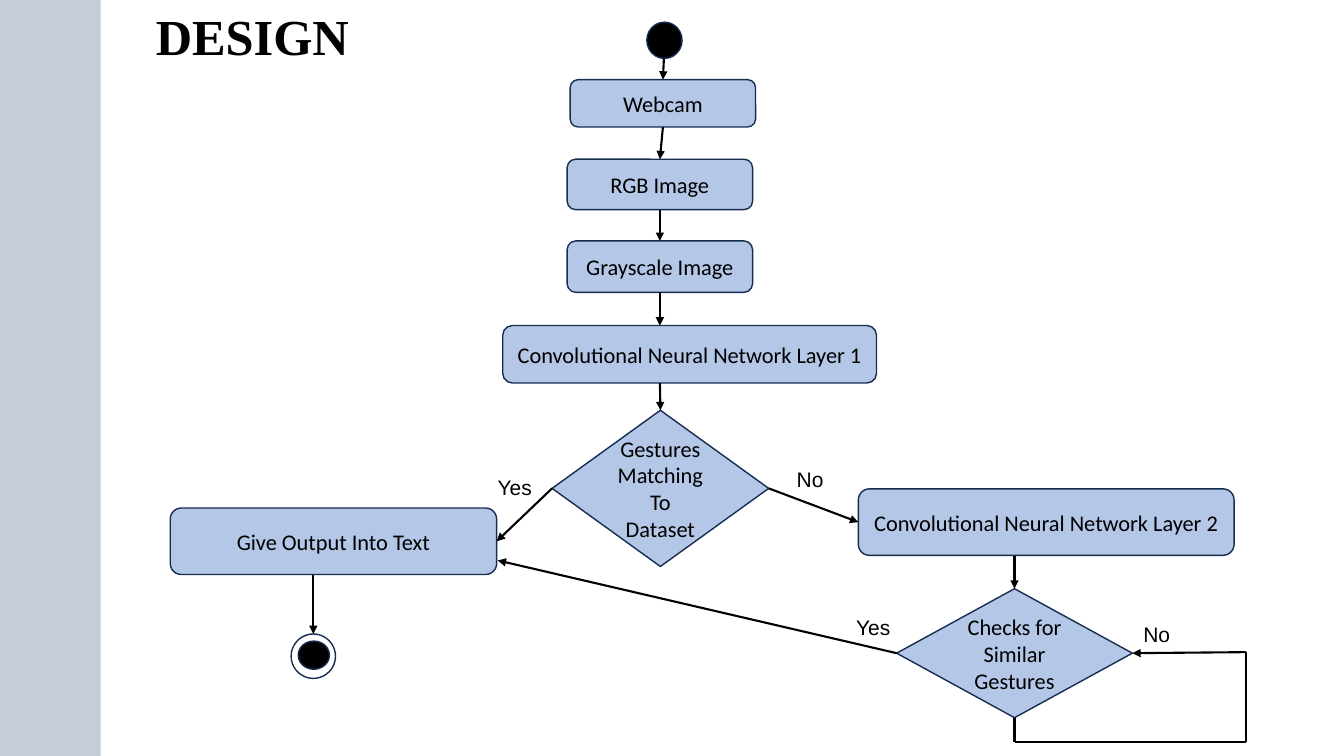
import pptx
import pptx.util
import pptx.dml.color
import pptx.enum.shapes
import pptx.enum.text
import pptx.oxml
import pptx.oxml.ns

Inches, Pt = pptx.util.Inches, pptx.util.Pt
RGB = pptx.dml.color.RGBColor
KIND = pptx.enum.shapes.MSO_SHAPE
ALIGN = pptx.enum.text.PP_ALIGN
ANCHOR = pptx.enum.text.MSO_ANCHOR
qn = pptx.oxml.ns.qn

BLACK = RGB(0x00, 0x00, 0x00)
NAVY = RGB(0x20, 0x38, 0x64)
EDGE = RGB(0x17, 0x2C, 0x51)
BLUE = RGB(0xB4, 0xC7, 0xE7)
TOP, LEFT, BOTTOM, RIGHT = range(4)

deck = pptx.Presentation()
deck.slide_width, deck.slide_height = Inches(13.34), Inches(7.5)
slide = deck.slides.add_slide(deck.slide_layouts[6])
shapes = slide.shapes


def write(shape, text, font="Calibri", size=16, bold=False,
          align=ALIGN.CENTER, anchor=ANCHOR.MIDDLE):
    frame = shape.text_frame
    frame.word_wrap = True
    frame.vertical_anchor = anchor
    frame.text = text
    for para in frame.paragraphs:
        para.alignment = align
        para.font.name = font
        para.font.size = Pt(size)
        para.font.bold = bold
        para.font.color.rgb = BLACK


def draw(kind, box, fill=None):
    shape = shapes.add_shape(kind, *map(Inches, box))
    shape.shadow.inherit = False
    shape.line.color.rgb = EDGE
    shape.line.width = Pt(1)
    if fill is None:
        shape.fill.background()
    else:
        shape.fill.solid()
        shape.fill.fore_color.rgb = fill
    return shape


# Wavy band on the left: one half wave, mirrored and repeated
half = [(0.78, 0), (0.78, 0.07), (0.79, 0.14), (0.8, 0.2), (0.81, 0.25),
        (0.83, 0.29), (0.85, 0.33), (0.87, 0.38), (0.89, 0.42), (0.91, 0.46),
        (0.93, 0.5), (0.95, 0.55), (0.96, 0.61), (0.97, 0.68), (0.97, 0.75)]
period = 1.5
wave = half + [(x, period - y) for x, y in reversed(half)]
edge = [(x, y + period * n) for n in range(5) for x, y in wave]
pen = shapes.build_freeform(0, 0, scale=Inches(1))
pen.add_line_segments(edge + [(0, 7.5)], close=True)
band = pen.convert_to_shape()
band.shadow.inherit = False
band.line.fill.background()
band.fill.solid()
band.fill.fore_color.rgb = NAVY
color = band.fill._xPr.find(qn("a:solidFill"))[0]
color.append(pptx.oxml.parse_xml(
    '<a:alpha xmlns:a="http://schemas.openxmlformats.org/drawingml/2006/main"'
    ' val="25000"/>'))

# Title
title = shapes.add_textbox(*map(Inches, (1.07, 0, 2.87, 0.7)))
write(title, "DESIGN", font="Times New Roman", size=36, bold=True,
      anchor=ANCHOR.TOP)

# Steps and decisions
ROUND, DIAMOND = KIND.ROUNDED_RECTANGLE, KIND.DIAMOND
steps = {
    "cam": (ROUND, (5.66, 0.79, 1.84, 0.47), "Webcam"),
    "rgb": (ROUND, (5.63, 1.58, 1.84, 0.5), "RGB Image"),
    "gray": (ROUND, (5.63, 2.39, 1.84, 0.51), "Grayscale Image"),
    "net1": (ROUND, (4.99, 3.23, 3.71, 0.57),
             "Convolutional Neural Network Layer 1"),
    "match": (DIAMOND, (5.48, 4.07, 2.15, 1.55),
              "Gestures Matching\nTo Dataset"),
    "net2": (ROUND, (8.52, 4.85, 3.73, 0.66),
             "Convolutional Neural Network Layer 2"),
    "check": (DIAMOND, (8.9, 5.84, 2.34, 1.28),
              "Checks for Similar Gestures"),
    "out": (ROUND, (1.69, 5.04, 3.24, 0.66), "Give Output Into Text"),
}
nodes = {}
for name, (kind, box, text) in steps.items():
    nodes[name] = draw(kind, box, BLUE)
    write(nodes[name], text)

# Start and end dots
DOT = KIND.FLOWCHART_CONNECTOR
draw(DOT, (6.42, 0.22, 0.35, 0.36), BLACK)
draw(DOT, (2.96, 6.36, 0.31, 0.28), BLACK)
nodes["ring"] = draw(DOT, (2.89, 6.29, 0.44, 0.44))

# Links: each end is a point or a node side; the flag adds an arrowhead
links = [
    ((6.59, 0.58), ("cam", TOP), True),
    (("cam", BOTTOM), ("rgb", TOP), True),
    (("rgb", BOTTOM), ("gray", TOP), True),
    (("gray", BOTTOM), (6.55, 3.23), True),
    ((6.55, 3.8), ("match", TOP), True),
    (("match", RIGHT), ("net2", LEFT), True),
    (("match", LEFT), ("out", RIGHT), True),
    ((3.11, 5.7), ("ring", TOP), True),
    ((10.07, 5.52), ("check", TOP), True),
    (("check", BOTTOM), (10.07, 7.36), False),
    ((10.07, 7.36), (12.37, 7.36), False),
    ((12.37, 7.36), (12.37, 6.47), False),
    ((12.37, 6.47), ("check", RIGHT), True),
    (("check", LEFT), (4.94, 5.56), True),
]
for start, end, arrow in links:
    link = shapes.add_connector(
        pptx.enum.shapes.MSO_CONNECTOR.STRAIGHT, 0, 0, 0, 0)
    if start[0] in nodes:
        link.begin_connect(nodes[start[0]], start[1])
    else:
        link.begin_x, link.begin_y = map(Inches, start)
    if end[0] in nodes:
        link.end_connect(nodes[end[0]], end[1])
    else:
        link.end_x, link.end_y = map(Inches, end)
    link.line.color.rgb = BLACK
    link.line.width = Pt(1.5)
    if arrow:
        tip = link.line._get_or_add_ln().makeelement(
            qn("a:tailEnd"), {"type": "triangle"})
        link.line._get_or_add_ln().append(tip)
    props = link._element.spPr
    props.append(props.makeelement(qn("a:effectLst"), {}))

# Branch labels
for text, left, top, width in [("No", 7.81, 4.58, 0.89),
                               ("Yes", 4.84, 4.66, 0.82),
                               ("Yes", 8.4, 6.05, 0.69),
                               ("No", 11.25, 6.12, 0.65)]:
    label = shapes.add_textbox(*map(Inches, (left, top, width, 0.35)))
    write(label, text, font="Arial", size=15, align=ALIGN.LEFT,
          anchor=ANCHOR.TOP)

deck.save("out.pptx")
